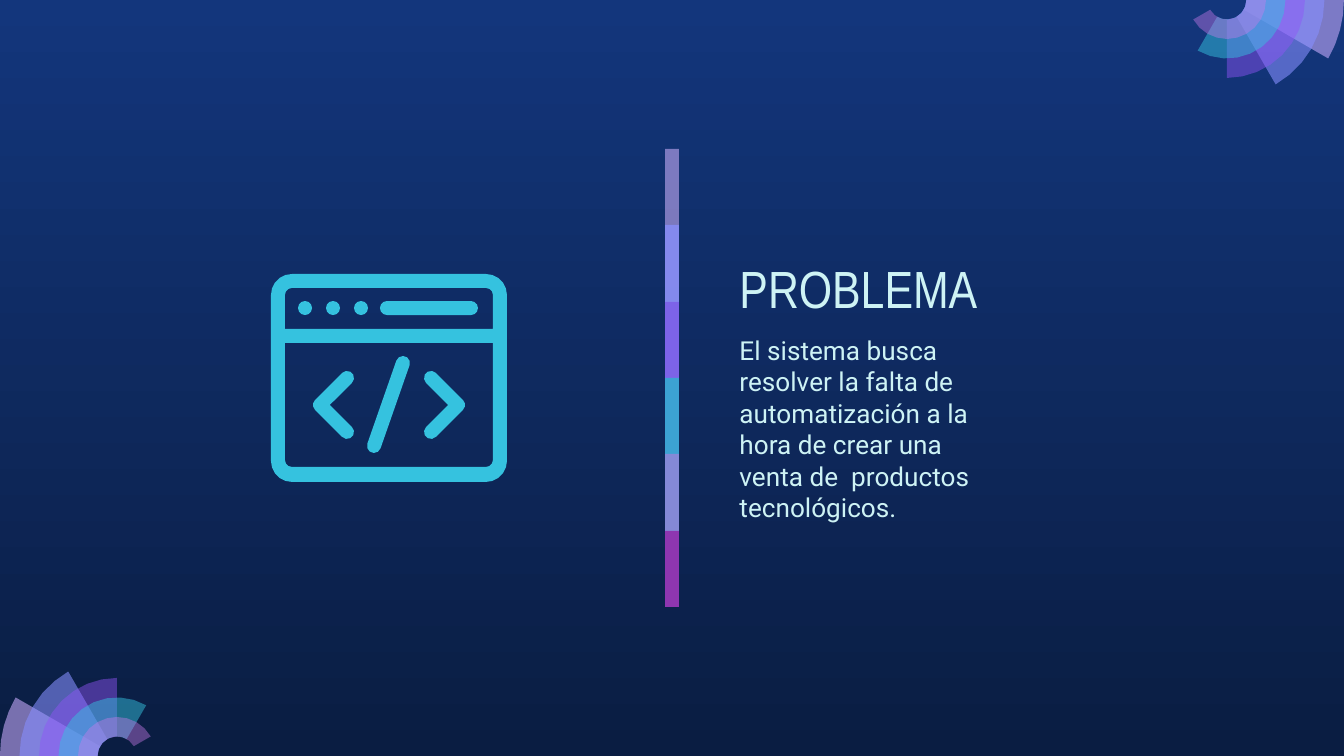
from dataclasses import dataclass
from math import acos, atan2, ceil, cos, degrees, radians, sin, sqrt

from lxml.etree import SubElement
from pptx import Presentation
from pptx.dml.color import RGBColor
from pptx.enum.shapes import MSO_SHAPE as Preset
from pptx.enum.text import MSO_ANCHOR as Anchor, MSO_AUTO_SIZE as AutoSize, PP_ALIGN as Align
from pptx.oxml.ns import qn
from pptx.util import Emu, Pt

SLIDE_W, SLIDE_H = 1344, 756
EMU_PER_PX = 914400 * 10 / SLIDE_W
ARC_TOLERANCE = 0.4

NAVY_TOP = RGBColor(0x13, 0x36, 0x7C)
NAVY_BOTTOM = RGBColor(0x0A, 0x1D, 0x42)
PALE = RGBColor(0xCE, 0xF3, 0xF5)
CYAN = RGBColor(0x35, 0xC2, 0xDF)
LILAC = RGBColor(0xC8, 0xAC, 0xFD)
LAVENDER = RGBColor(0xC8, 0xAE, 0xF8)
PERIWINKLE = RGBColor(0x87, 0x8F, 0xFF)
VIOLET = RGBColor(0x91, 0x54, 0xF8)
ORCHID = RGBColor(0xCA, 0x7B, 0xEB)
PURPLE = RGBColor(0x97, 0x2C, 0xB4)

Point = tuple[float, float]
Contour = list[Point]


@dataclass(frozen=True)
class Tint:
    color: RGBColor
    opacity: int = 100


@dataclass(frozen=True)
class Copy:
    text: str
    box: tuple[int, int, int, int]
    font: str
    size: int
    anchor: Anchor


# Fan blades from the widest ring to the narrowest, bar segments from the top
BLADES = [Tint(LILAC, 58), Tint(PERIWINKLE, 58), Tint(VIOLET, 46), Tint(CYAN, 49), Tint(ORCHID, 42)]
SEGMENTS = [Tint(LAVENDER, 59), Tint(PERIWINKLE, 74), Tint(VIOLET, 53),
            Tint(CYAN, 76), Tint(ORCHID, 56), Tint(PURPLE, 74)]

HEADING = Copy("PROBLEMA", (726, 190, 280, 142), "Arial Narrow", 28, Anchor.BOTTOM)
PROBLEM = Copy("El sistema busca resolver la falta de automatización a la hora de crear "
               "una venta de  productos tecnológicos.", (726, 321, 280, 265), "Roboto", 14, Anchor.TOP)


def px(length: float) -> Emu:
    return Emu(round(length * EMU_PER_PX))


def paint(shape, tint: Tint) -> None:
    shape.shadow.inherit = False
    shape.line.fill.background()
    shape.fill.solid()
    shape.fill.fore_color.rgb = tint.color
    if tint.opacity < 100:
        rgb = shape.fill._xPr.find(f".//{qn('a:srgbClr')}")
        SubElement(rgb, qn("a:alpha"), val=str(tint.opacity * 1000))


def add_preset(slide, preset: Preset, box: tuple[int, int, int, int], tint: Tint):
    shape = slide.shapes.add_shape(preset, *map(px, box))
    paint(shape, tint)
    return shape


def add_outline(slide, contours: list[Contour], tint: Tint) -> None:
    scaled = [[(px(x), px(y)) for x, y in contour] for contour in contours]
    builder = slide.shapes.build_freeform(*scaled[0][0], scale=1.0)
    for number, contour in enumerate(scaled):
        if number:
            builder.move_to(*contour[0])
        builder.add_line_segments(contour[1:], close=True)
    paint(builder.convert_to_shape(), tint)


def arc(x: float, y: float, radius: float, start: float, end: float) -> Contour:
    """Fewest points on a circle within tolerance; degrees run clockwise from the right."""
    if not radius:
        return [(x, y)]
    steps = ceil(abs(end - start) / degrees(2 * acos(1 - ARC_TOLERANCE / radius)))
    angles = [radians(start + (end - start) * i / steps) for i in range(steps + 1)]
    return [(x + radius * cos(a), y + radius * sin(a)) for a in angles]


def rounded(left: int, top: int, right: int, bottom: int, upper: int, lower: int) -> Contour:
    """Rectangle with one radius for the upper corners and one for the lower."""
    return (arc(left + upper, top + upper, upper, 180, 270)
            + arc(right - upper, top + upper, upper, 270, 360)
            + arc(right - lower, bottom - lower, lower, 0, 90)
            + arc(left + lower, bottom - lower, lower, 90, 180))


def capsule(start: Point, end: Point, radius: int) -> Contour:
    angle = degrees(atan2(end[1] - start[1], end[0] - start[0]))
    return arc(*start, radius, angle + 90, angle + 270) + arc(*end, radius, angle - 90, angle + 90)


def chevron(tip_x: int, y: int, reach: int, radius: int, direction: int) -> Contour:
    """Angle bracket with round ends; direction 1 points right, -1 left."""
    pointing_right = (arc(-reach, -reach, radius, 135, 315) + arc(0, 0, radius, -45, 45)
                      + arc(-reach, reach, radius, 45, 225) + [(-radius * sqrt(2), 0)])
    return [(tip_x + direction * dx, y + dy) for dx, dy in pointing_right]


def add_fan(slide, x: int, y: int, turn: int) -> None:
    ring = 19.5
    for i, tint in enumerate(BLADES):
        start, end = 180 + turn, 210 + 30 * i + turn
        blade = arc(x, y, ring * (6 - i), start, end) + arc(x, y, ring, end, start)
        add_outline(slide, [blade], tint)


def add_browser_icon(slide) -> None:
    cyan = Tint(CYAN)
    add_outline(slide, [rounded(271, 274, 507, 482, 21, 21),
                        rounded(285, 288, 493, 329, 7, 0),
                        rounded(285, 343, 493, 467, 0, 7)], cyan)
    for i in range(3):
        add_preset(slide, Preset.OVAL, (298 + 28 * i, 301, 14, 14), cyan)
    address = add_preset(slide, Preset.ROUNDED_RECTANGLE, (380, 301, 98, 14), cyan)
    address.adjustments[0] = 0.5
    for mark in (chevron(458, 405, 27, 7, 1), chevron(320, 405, 27, 7, -1),
                 capsule((403, 363), (374, 446), 7)):
        add_outline(slide, [mark], cyan)


def add_bar(slide) -> None:
    top, bottom = 149, 607
    pitch = (bottom - top) / len(SEGMENTS)
    for i, tint in enumerate(SEGMENTS):
        # Each segment runs on under the next one
        start, end = round(top + pitch * i), min(round(top + pitch * (i + 2)), bottom)
        add_preset(slide, Preset.RECTANGLE, (665, start, 14, end - start), tint)


def write(placeholder, content: Copy) -> None:
    placeholder.left, placeholder.top, placeholder.width, placeholder.height = map(px, content.box)
    frame = placeholder.text_frame
    frame.text = content.text
    frame.word_wrap = True
    frame.auto_size = AutoSize.NONE
    frame.vertical_anchor = content.anchor
    frame.margin_left = frame.margin_right = frame.margin_top = frame.margin_bottom = Pt(7.2)
    paragraph = frame.paragraphs[0]
    paragraph.alignment = Align.LEFT
    paragraph.space_before = Pt(0)
    properties = paragraph._p.get_or_add_pPr()
    properties.set("marL", "0")
    properties.set("indent", "0")
    SubElement(properties, qn("a:buNone"))
    font = paragraph.runs[0].font
    font.name, font.size, font.color.rgb = content.font, Pt(content.size), PALE


def main() -> None:
    deck = Presentation()
    deck.slide_width, deck.slide_height = px(SLIDE_W), px(SLIDE_H)
    slide = deck.slides.add_slide(deck.slide_layouts[1])

    # Background, dark towards the bottom
    backdrop = slide.background.fill
    backdrop.gradient()
    backdrop.gradient_angle = 270
    for stop, color in zip(backdrop.gradient_stops, (NAVY_TOP, NAVY_BOTTOM)):
        stop.color.rgb = color

    # Text
    write(slide.shapes.title, HEADING)
    write(slide.placeholders[1], PROBLEM)

    # Icon, corner fans and dividing bar
    add_browser_icon(slide)
    add_fan(slide, 117, SLIDE_H, 0)
    add_fan(slide, SLIDE_W - 117, 0, 180)
    add_bar(slide)

    deck.save("out.pptx")


if __name__ == "__main__":
    main()
